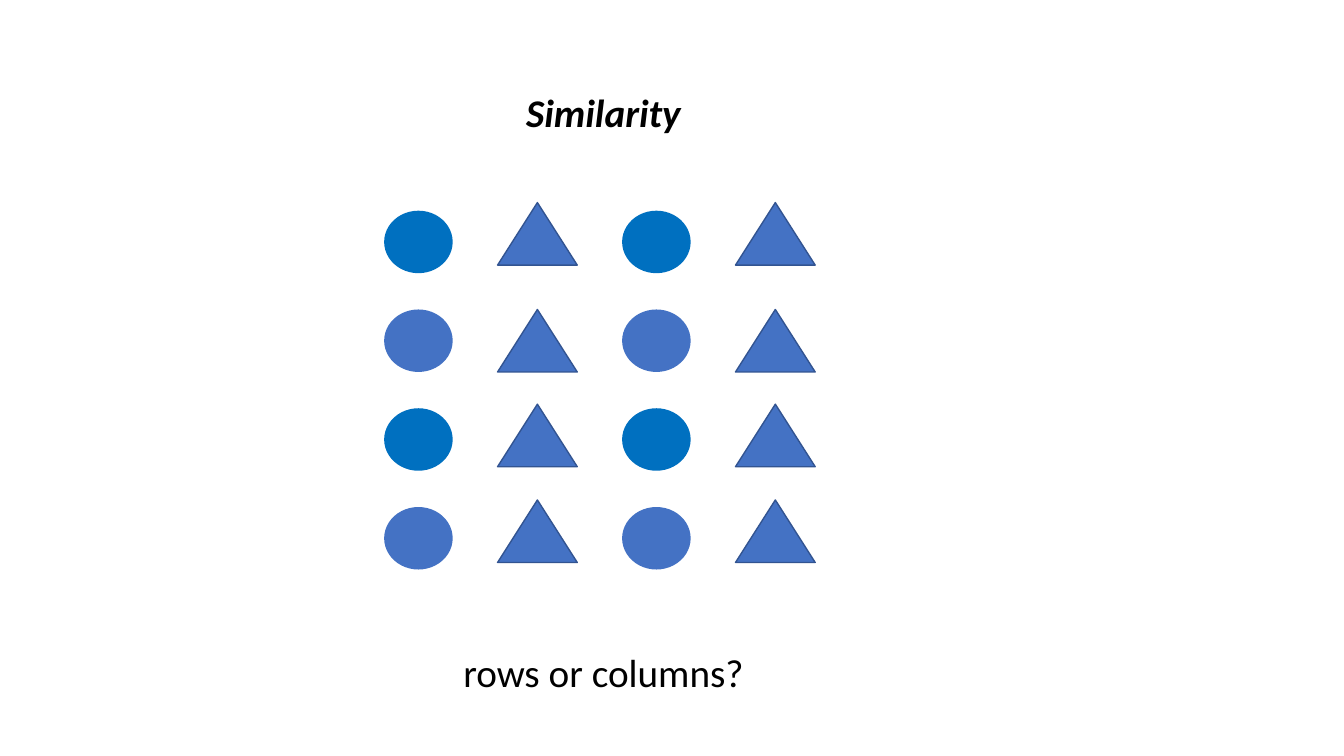
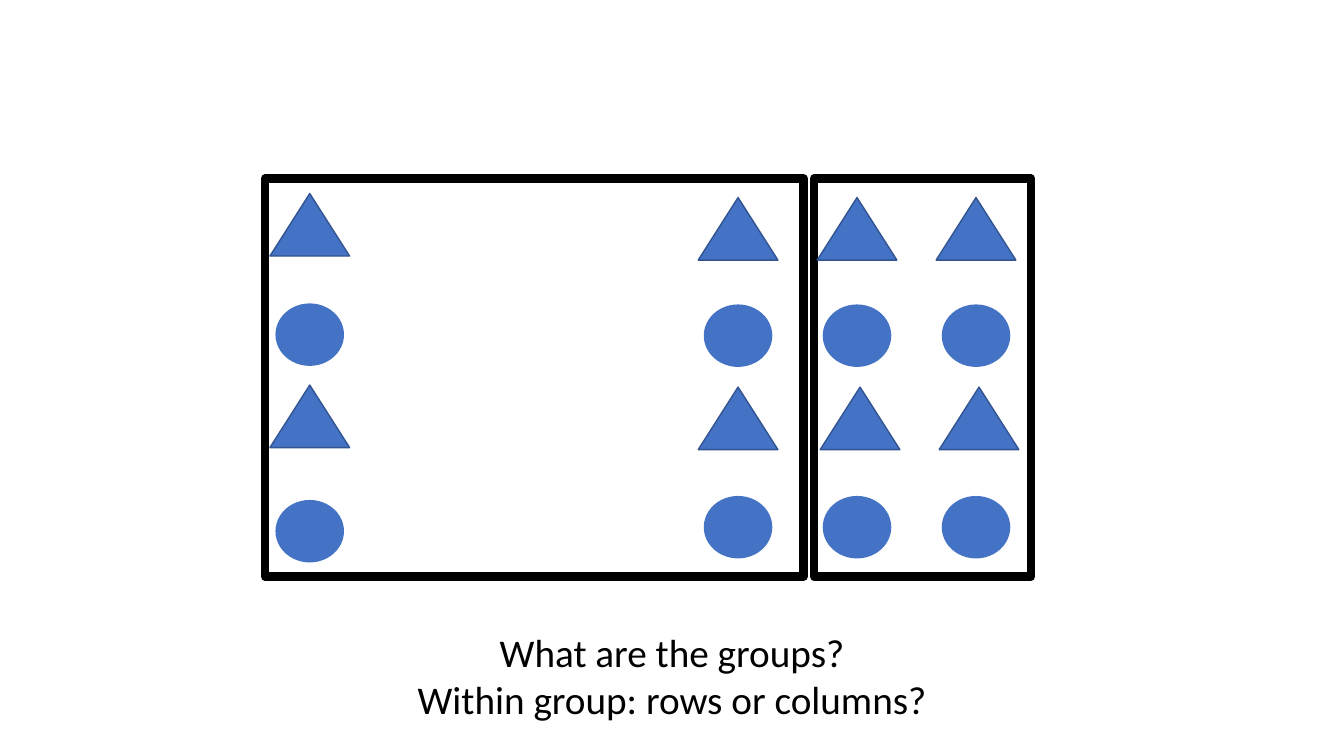
"""Builds two slides on grouping by similarity and by proximity."""
from pptx import Presentation
from pptx.dml.color import RGBColor
from pptx.enum.shapes import MSO_SHAPE
from pptx.enum.text import MSO_ANCHOR, MSO_AUTO_SIZE, PP_ALIGN
from pptx.util import Inches, Pt

BLUE, BRIGHT, EDGE, BLACK = "4472C4", "0070C0", "325491", "000000"
PITCH = 1.18
BALL = (MSO_SHAPE.OVAL, 0.68, 0.62)
CONE = (MSO_SHAPE.ISOSCELES_TRIANGLE, 0.79, 0.62)
FONT = {"name": "Calibri", "size": Pt(28)}
TITLE = {**FONT, "bold": True, "italic": True}
FRAME = {"word_wrap": False, "auto_size": MSO_AUTO_SIZE.NONE,
         "vertical_anchor": MSO_ANCHOR.TOP}


def paint(part, tone):
    """Fill a part with a hex colour, or clear it."""
    if tone:
        part.solid()
        part.fore_color.rgb = RGBColor.from_string(tone)
    else:
        part.background()


def draw(slide, form, mid, top, fill=None, edge=None, weight=1):
    """Draw a form centred on mid, with its upper side at top."""
    kind, width, height = form
    shape = slide.shapes.add_shape(kind, Inches(mid - width / 2), Inches(top),
                                   Inches(width), Inches(height))
    shape.shadow.inherit = False
    paint(shape.fill, fill)
    paint(shape.line.fill, edge)
    if edge:
        shape.line.width = Pt(weight)


deck = Presentation()
deck.slide_width, deck.slide_height = Inches(13.33), Inches(7.5)
alike = deck.slides.add_slide(deck.slide_layouts[5])
near = deck.slides.add_slide(deck.slide_layouts[6])

for col in range(4):
    mid = 4.15 + col * PITCH
    if col % 2:
        for top in (2.01, 3.07, 4.01, 4.96):
            draw(alike, CONE, mid, top, BLUE, EDGE)
    else:
        for row in range(4):
            draw(alike, BALL, mid, 2.09 + row * 0.98, BLUE if row % 2 else BRIGHT)

for mid, width in ((5.3, 5.34), (9.15, 2.15)):
    draw(near, (MSO_SHAPE.RECTANGLE, width, 3.95), mid, 1.77, None, BLACK, 6)

for col in (-3.6, 0, 1, 2):
    tops = (1.92, 3.01, 3.82, 4.96) if col < 0 else (1.96, 3.02, 3.84, 4.92)
    for row, top in enumerate(tops):
        mid = 7.32 + col * PITCH
        if row % 2:
            draw(near, BALL, mid, top, BLUE)
        else:
            shift = 0.03 if row == 2 and col > 0 else 0
            draw(near, CONE, mid + shift, top, BLUE, EDGE)

texts = (
    (alike.shapes.title, (5.11, 0.83, 1.75, 0.57), ["Similarity"], TITLE),
    (alike.shapes.add_textbox(0, 0, 0, 0), (4.42, 6.38, 3.13, 0.57),
     ["rows or columns?"], FONT),
    (near.shapes.add_textbox(0, 0, 0, 0), (4.01, 6.18, 5.31, 1.04),
     ["What are the groups?", "Within group: rows or columns?"], FONT),
)
for box, place, lines, style in texts:
    for key, size in zip(("left", "top", "width", "height"), place):
        setattr(box, key, Inches(size))
    frame = box.text_frame
    frame.text = "\n".join(lines)
    for key, value in FRAME.items():
        setattr(frame, key, value)
    for line in frame.paragraphs:
        line.alignment = PP_ALIGN.CENTER
        font = line.runs[0].font
        paint(font.fill, BLACK)
        for key, value in style.items():
            setattr(font, key, value)

deck.save("out.pptx")
